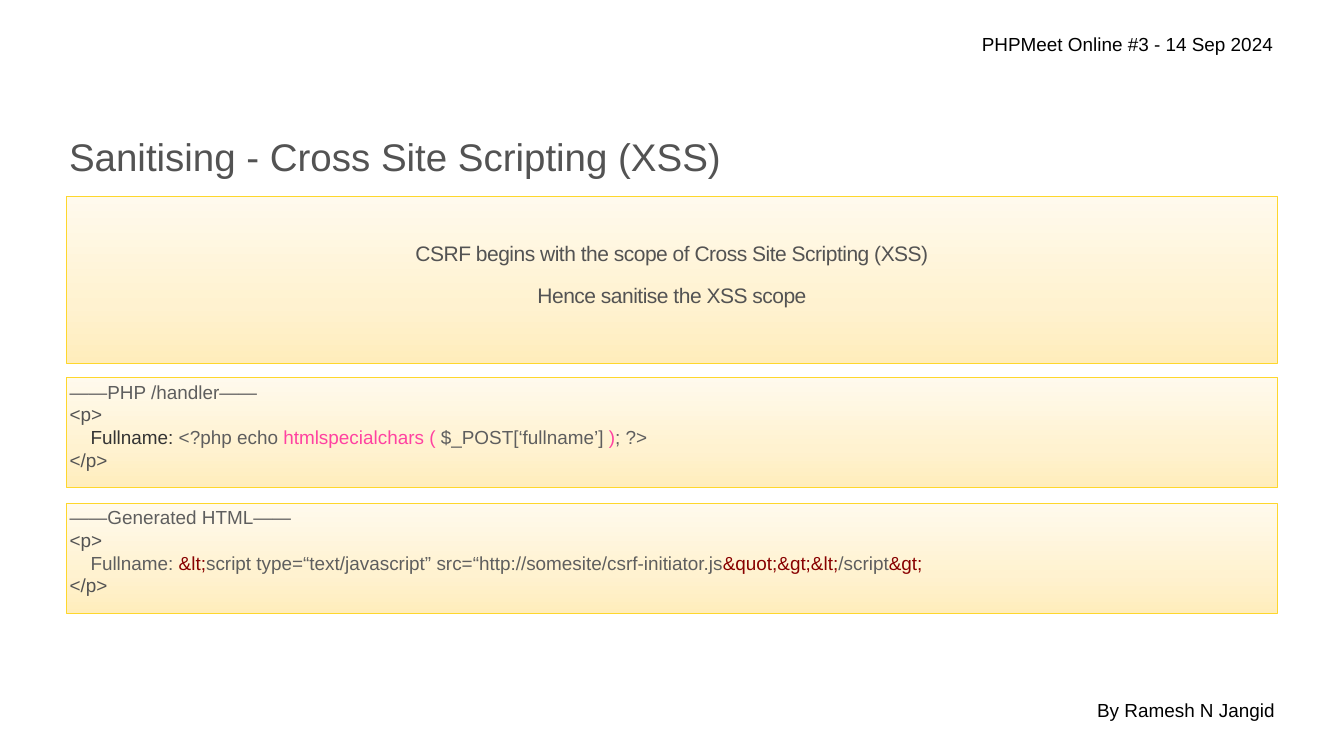
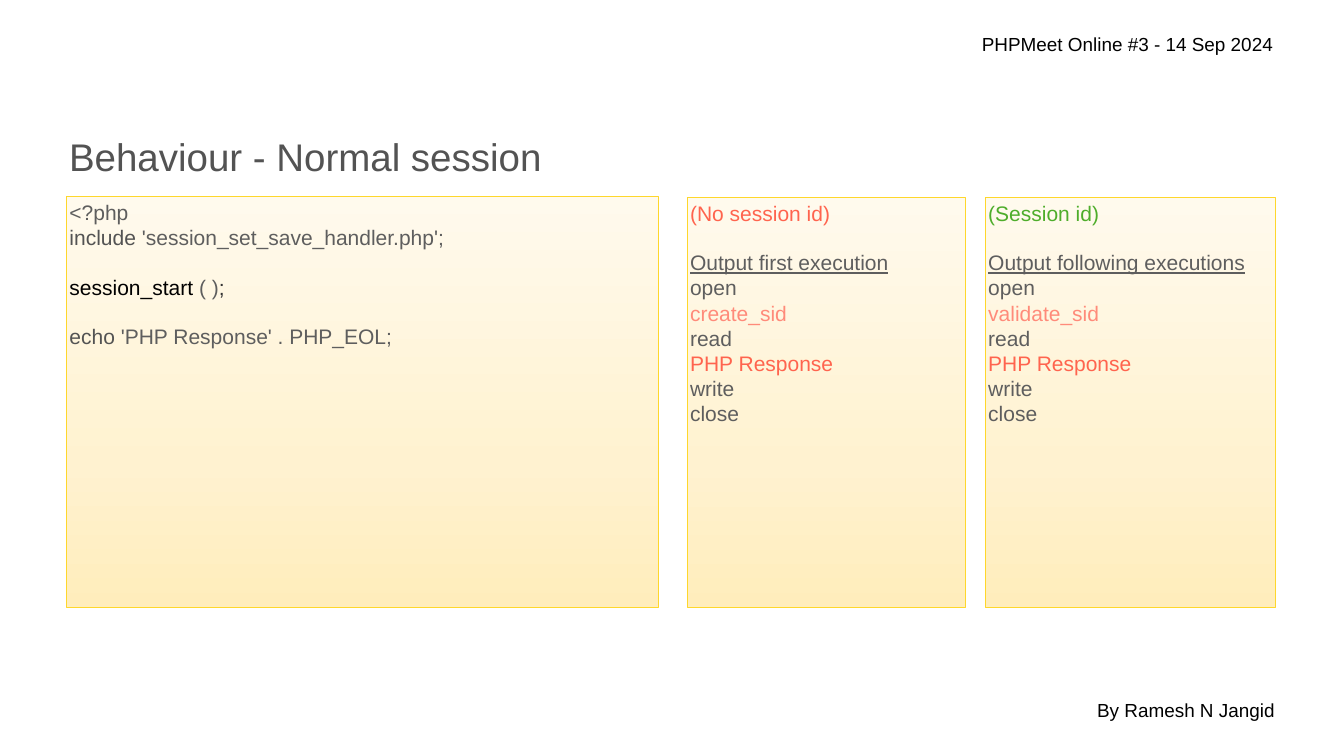
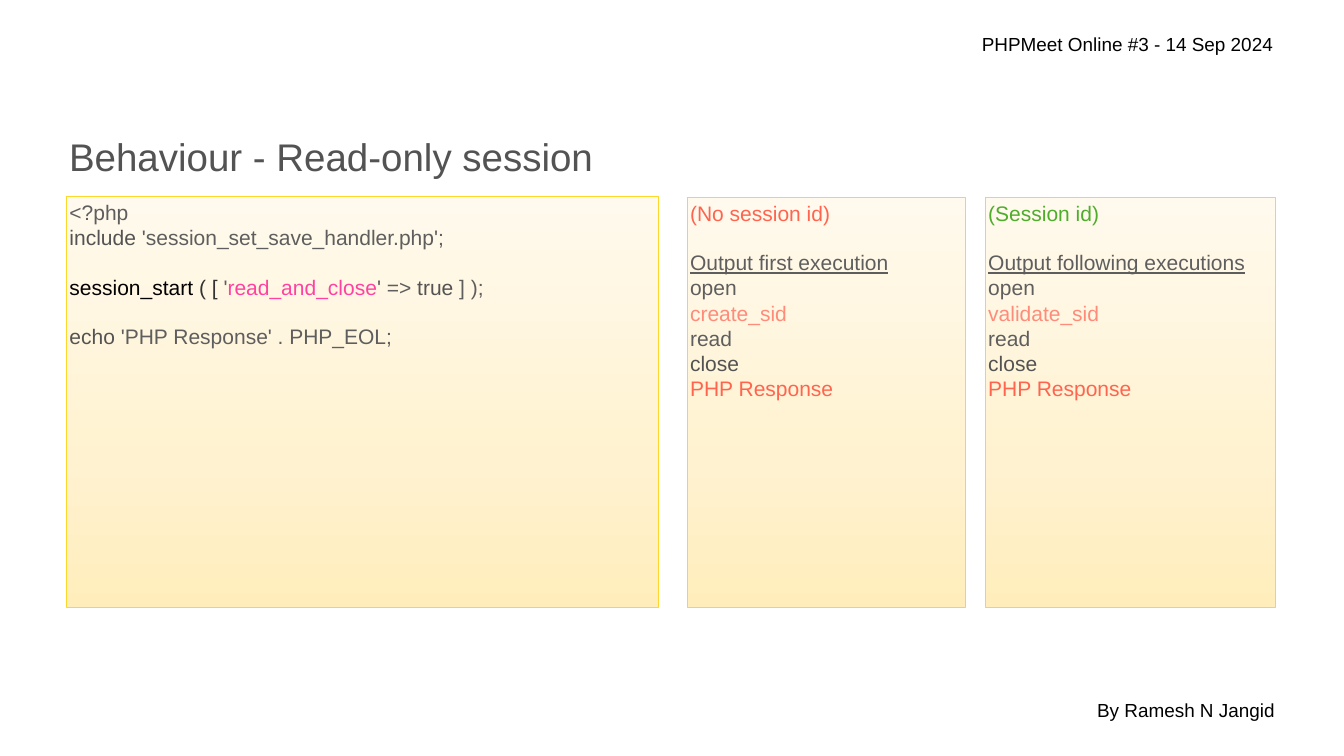
from copy import deepcopy
from dataclasses import dataclass

from pptx import Presentation
from pptx.dml.color import RGBColor
from pptx.enum.shapes import MSO_SHAPE
from pptx.enum.text import MSO_ANCHOR, MSO_AUTO_SIZE, PP_ALIGN
from pptx.oxml.ns import qn
from pptx.util import Pt

RECT = MSO_SHAPE.RECTANGLE
TOP = MSO_ANCHOR.TOP
LEFT, CENTER, RIGHT = PP_ALIGN.LEFT, PP_ALIGN.CENTER, PP_ALIGN.RIGHT
NO_FIT = MSO_AUTO_SIZE.NONE

# Colours
BLACK = RGBColor(0x00, 0x00, 0x00)
INK = RGBColor(0x33, 0x33, 0x33)
DARK = RGBColor(0x53, 0x53, 0x53)
GRAY = RGBColor(0x5E, 0x5E, 0x5E)
PINK = RGBColor(0xFF, 0x42, 0xA1)
MAROON = RGBColor(0x88, 0x00, 0x00)
RED = RGBColor(0xFF, 0x64, 0x4E)
SALMON = RGBColor(0xFF, 0x8B, 0x7A)
GREEN = RGBColor(0x4E, 0xAD, 0x2B)
GOLD = RGBColor(0xFE, 0xD7, 0x2C)
PANEL_STOPS = [(0, RGBColor(0xFF, 0xED, 0xBC)),
               (0.35, RGBColor(0xFF, 0xF2, 0xD0)),
               (1, RGBColor(0xFF, 0xFA, 0xED))]

# Shared measures, in points
FONT = "Arial"
SLIDE_W, SLIDE_H = 1920, 1080
X, W, BODY_Y = 95, 1730, 281
TITLE_SIZE, BODY_SIZE, SMALL_SIZE = 55, 30, 27
BLANK_LINE = 34.5
CODE_INDENT = 30
EVENT = "PHPMeet Online #3 - 14 Sep 2024"
AUTHOR = "By Ramesh N Jangid"


@dataclass
class Para:
    """A paragraph: (text, colour) runs and its own spacing."""
    runs: list
    before: float = 0
    indent: float = 0
    underline: bool = False


def line(text, color=GRAY, **fmt):
    return Para([(text, color)], **fmt)


def write(tf, paras, size=BODY_SIZE, align=LEFT, inset=4.3, top=None,
          spacing=1.0, kerning=None):
    tf.word_wrap = True
    tf.auto_size = NO_FIT
    tf.vertical_anchor = TOP
    tf.margin_left = tf.margin_right = tf.margin_bottom = Pt(inset)
    tf.margin_top = Pt(inset if top is None else top)
    for i, para in enumerate(paras):
        p = tf.paragraphs[0] if i == 0 else tf.add_paragraph()
        p.alignment = align
        p.line_spacing = spacing
        p.space_before = Pt(para.before)
        if para.indent:
            p._p.get_or_add_pPr().set("marL", str(Pt(para.indent)))
        for text, color in para.runs:
            r = p.add_run()
            r.text = text
            r.font.name = FONT
            r.font.size = Pt(size)
            r.font.color.rgb = color
            r.font.underline = para.underline
            if kerning is not None:
                r._r.get_or_add_rPr().set("spc", str(round(kerning * 100)))


def add_label(slide, text, x, y):
    box = slide.shapes.add_textbox(Pt(x), Pt(y), Pt(W), Pt(50.5))
    write(box.text_frame, [line(text, BLACK)], size=SMALL_SIZE, align=RIGHT, inset=3.6)


def add_panel(slide, x, y, w, h, paras, **fmt):
    sp = slide.shapes.add_shape(RECT, Pt(x), Pt(y), Pt(w), Pt(h))
    sp.shadow.inherit = False
    sp.line.color.rgb = GOLD
    sp.line.width = Pt(0.75)
    sp.fill.gradient()
    sp.fill.gradient_angle = 90
    # The default gradient has two stops; add the third
    stops = sp._element.spPr.find(".//" + qn("a:gsLst"))
    stops.append(deepcopy(stops[0]))
    for stop, (position, color) in zip(sp.fill.gradient_stops, PANEL_STOPS):
        stop.position = position
        stop.color.rgb = color
    write(sp.text_frame, paras, **fmt)


def add_base_slide(prs, title):
    """Title, event header and author footer."""
    slide = prs.slides.add_slide(prs.slide_layouts[5])
    sp = slide.shapes.title
    sp.left, sp.top, sp.width, sp.height = Pt(X), Pt(187), Pt(W), Pt(73.5)
    write(sp.text_frame, [line(title, DARK)], size=TITLE_SIZE, inset=3.6)
    add_label(slide, EVENT, 92, 42.5)
    add_label(slide, AUTHOR, 94.5, 995)
    return slide


def code_paragraphs(heading, statement):
    """A heading and one indented statement in a <p> element."""
    return [line(heading), line("<p>", DARK),
            Para(statement, indent=CODE_INDENT), line("</p>", DARK)]


def xss_slide(prs):
    slide = add_base_slide(prs, "Sanitising - Cross Site Scripting (XSS)")
    add_panel(slide, X, BODY_Y, W, 237.5,
              [line("CSRF begins with the scope of Cross Site Scripting (XSS)", DARK),
               line("Hence sanitise the XSS scope", DARK, before=31)],
              align=CENTER, top=70, spacing=0.8, kerning=-0.7)
    handler = code_paragraphs("——PHP /handler——", [
        ("Fullname: ", INK), ("<?php echo ", GRAY), ("htmlspecialchars ( ", PINK),
        ("$_POST[‘fullname’] ", GRAY), (")", PINK), ("; ?>", GRAY)])
    html = code_paragraphs("——Generated HTML——", [
        ("Fullname: ", GRAY), ("&lt;", MAROON),
        ("script type=“text/javascript” src=“http://somesite/csrf-initiator.js", GRAY),
        ("&quot;&gt;&lt;", MAROON), ("/script", GRAY), ("&gt;", MAROON)])
    for i, paras in enumerate([handler, html]):
        add_panel(slide, X, 539 + i * 179.5, W, 157.5, paras, size=SMALL_SIZE)


def output_paragraphs(state, color, heading, sid_call, tail):
    """Calls printed by one execution, ending with the tail."""
    return [line(state, color),
            line(heading, before=BLANK_LINE, underline=True),
            line("open"), line(sid_call, SALMON), line("read"), *tail]


def session_slide(prs, title, arguments, tail):
    slide = add_base_slide(prs, title)
    # Code on the left
    add_panel(slide, X, BODY_Y, 845, 586, [
        line("<?php"),
        Para([("include", DARK), (" 'session_set_save_handler.php';", GRAY)]),
        Para([("session_start", BLACK), *arguments], before=BLANK_LINE),
        Para([("echo", DARK), (" 'PHP Response' . PHP_EOL;", GRAY)], before=BLANK_LINE)])
    # Outputs on the right
    add_panel(slide, 981.5, BODY_Y + 1, 398, 585, output_paragraphs(
        "(No session id)", RED, "Output first execution", "create_sid", tail))
    add_panel(slide, 1407.5, BODY_Y + 1, 415, 585, output_paragraphs(
        "(Session id)", GREEN, "Output following executions", "validate_sid", tail))


def main():
    prs = Presentation()
    prs.slide_width, prs.slide_height = Pt(SLIDE_W), Pt(SLIDE_H)
    response = line("PHP Response", RED)
    xss_slide(prs)
    session_slide(prs, "Behaviour - Normal session",
                  [(" ( )", GRAY), (";", INK)],
                  [response, line("write"), line("close")])
    session_slide(prs, "Behaviour - Read-only session",
                  [(" ( [ ", INK), ("'", GRAY), ("read_and_close", PINK),
                   ("' => ", GRAY), ("true ", DARK), ("] );", GRAY)],
                  [line("close", DARK), response])
    prs.save("out.pptx")


if __name__ == "__main__":
    main()
